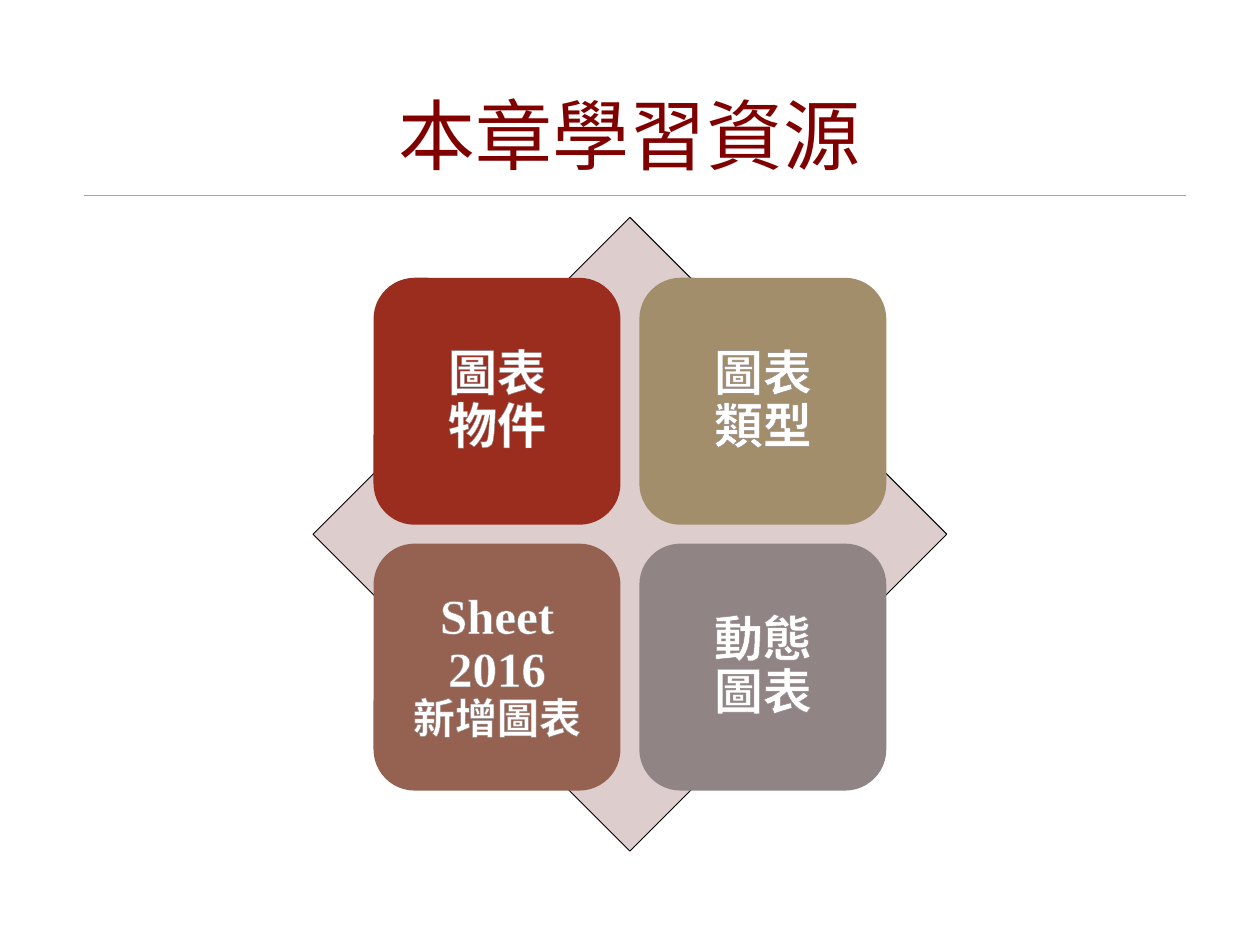
from lxml.etree import SubElement
from pptx import Presentation
from pptx.dml.color import RGBColor
from pptx.enum.shapes import MSO_CONNECTOR, MSO_SHAPE
from pptx.enum.text import MSO_ANCHOR, PP_ALIGN
from pptx.oxml import parse_xml
from pptx.oxml.ns import nsdecls, qn
from pptx.util import Inches, Pt

TITLE = "本章學習資源"
# Each tile: fill colour name and its lines of (text, size name), in reading order
TILES = [
    ("red", [("圖表", "tile"), ("物件", "tile")]),
    ("sand", [("圖表", "tile"), ("類型", "tile")]),
    ("brown", [("Sheet 2016", "tile"), ("新增圖表", "tile_small")]),
    ("grey", [("動態", "tile"), ("圖表", "tile")]),
]

THEME = {
    "font": "Times New Roman",
    "sizes": {"title": 44, "tile": 28, "tile_small": 24},
    "colors": {
        "title": "800000", "rule": "A6A6A6", "diamond": "DECDCD", "edge": "000000",
        "text": "FFFFFF", "red": "9B2D1F", "sand": "A28E6A", "brown": "956251",
        "grey": "918485",
    },
}

CENTER_X, CENTER_Y = 5, 4.24
DIAMOND_SIDE = 5.03
TILE_SIDE, TILE_GAP = 1.96, 0.15
COLUMNS = 2


def color(name):
    return RGBColor.from_string(THEME["colors"][name])


def style_line(line, name):
    line.color.rgb = color(name)
    line.width = Pt(0.5)


def add_filled_shape(page, kind, left, top, side, fill):
    shape = page.shapes.add_shape(
        kind, Inches(left), Inches(top), Inches(side), Inches(side))
    shape.shadow.inherit = False
    shape.fill.solid()
    shape.fill.fore_color.rgb = color(fill)
    shape.line.fill.background()
    return shape


def set_frame(frame, margin_x, margin_y):
    margins = {
        "margin_left": margin_x, "margin_right": margin_x,
        "margin_top": margin_y, "margin_bottom": margin_y,
    }
    for name, value in margins.items():
        setattr(frame, name, Inches(value))
    frame.word_wrap = True
    frame.vertical_anchor = MSO_ANCHOR.MIDDLE
    para = frame.paragraphs[0]
    para.alignment = PP_ALIGN.CENTER
    para.line_spacing = 0.9
    return para


def add_span(para, text, size, color_name, bold=False):
    span = para.add_run()
    span.text = text
    formats = {"name": THEME["font"], "size": Pt(THEME["sizes"][size]), "bold": bold}
    for name, value in formats.items():
        setattr(span.font, name, value)
    span.font.color.rgb = color(color_name)
    return span


def outline_span(span, color_name):
    outline = parse_xml(f'<a:ln {nsdecls("a")} w="{Pt(0.8)}"/>')
    fill = SubElement(outline, qn("a:solidFill"))
    SubElement(fill, qn("a:srgbClr"), val=THEME["colors"][color_name])
    span.font._element.insert(0, outline)


def add_header(page):
    rule = page.shapes.add_connector(
        MSO_CONNECTOR.STRAIGHT, Inches(0.67), Inches(1.55), Inches(9.41), Inches(1.55))
    style_line(rule.line, "rule")
    SubElement(rule._element.spPr, qn("a:effectLst"))
    box = page.shapes.add_textbox(Inches(0.69), Inches(0.53), Inches(8.62), Inches(1.15))
    add_span(set_frame(box.text_frame, 0.1, 0.05), TITLE, "title", "title")


def add_matrix(page):
    diamond = add_filled_shape(
        page, MSO_SHAPE.DIAMOND, CENTER_X - DIAMOND_SIDE / 2,
        CENTER_Y - DIAMOND_SIDE / 2, DIAMOND_SIDE, "diamond")
    style_line(diamond.line, "edge")

    step = TILE_SIDE + TILE_GAP
    half_grid = TILE_SIDE + TILE_GAP / 2
    for index, (fill, lines) in enumerate(TILES):
        row, column = divmod(index, COLUMNS)
        tile = add_filled_shape(
            page, MSO_SHAPE.ROUNDED_RECTANGLE, CENTER_X - half_grid + column * step,
            CENTER_Y - half_grid + row * step, TILE_SIDE, fill)
        para = set_frame(tile.text_frame, 0.12, 0.12)
        for number, (text, size) in enumerate(lines):
            if number:
                para.add_line_break()
            outline_span(add_span(para, text, size, "text", bold=True), "grey")


def main():
    deck = Presentation()
    deck.slide_width, deck.slide_height = Inches(10), Inches(7.5)
    page = deck.slides.add_slide(deck.slide_layouts[6])
    add_header(page)
    add_matrix(page)
    deck.save("out.pptx")


if __name__ == "__main__":
    main()
